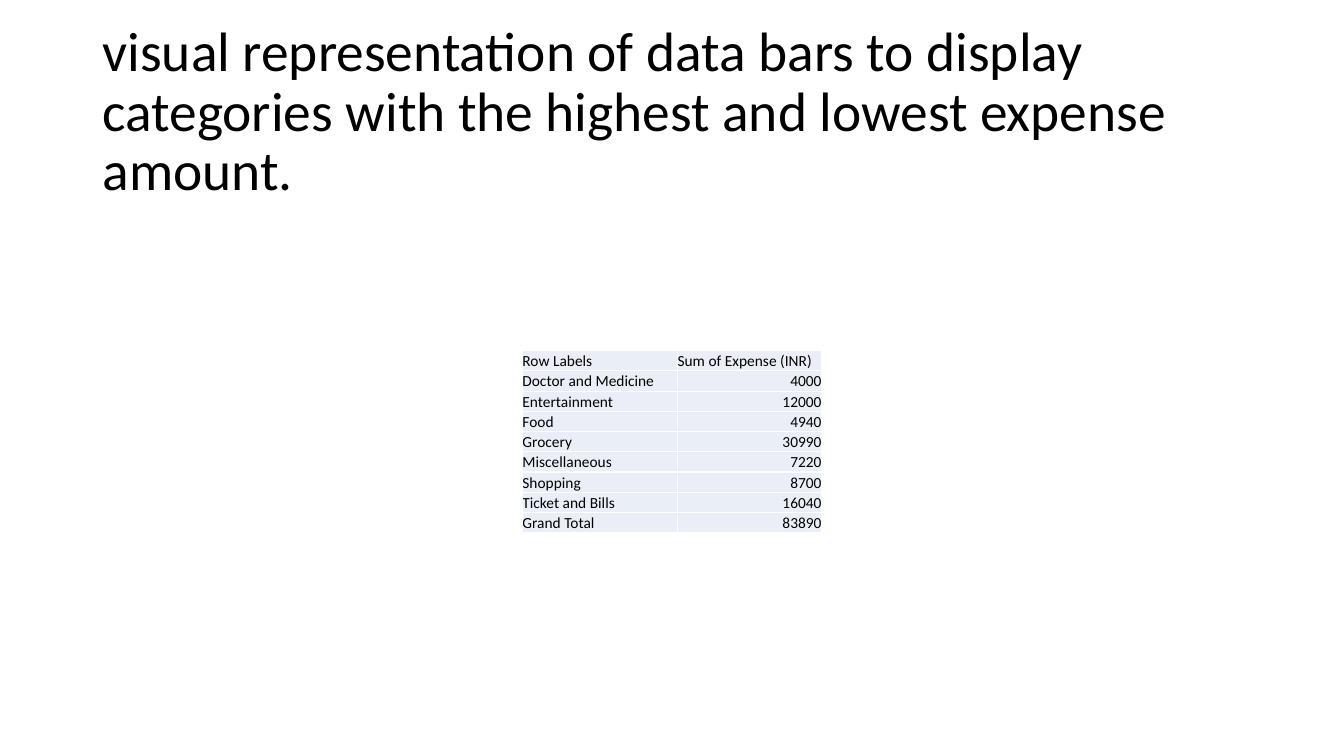
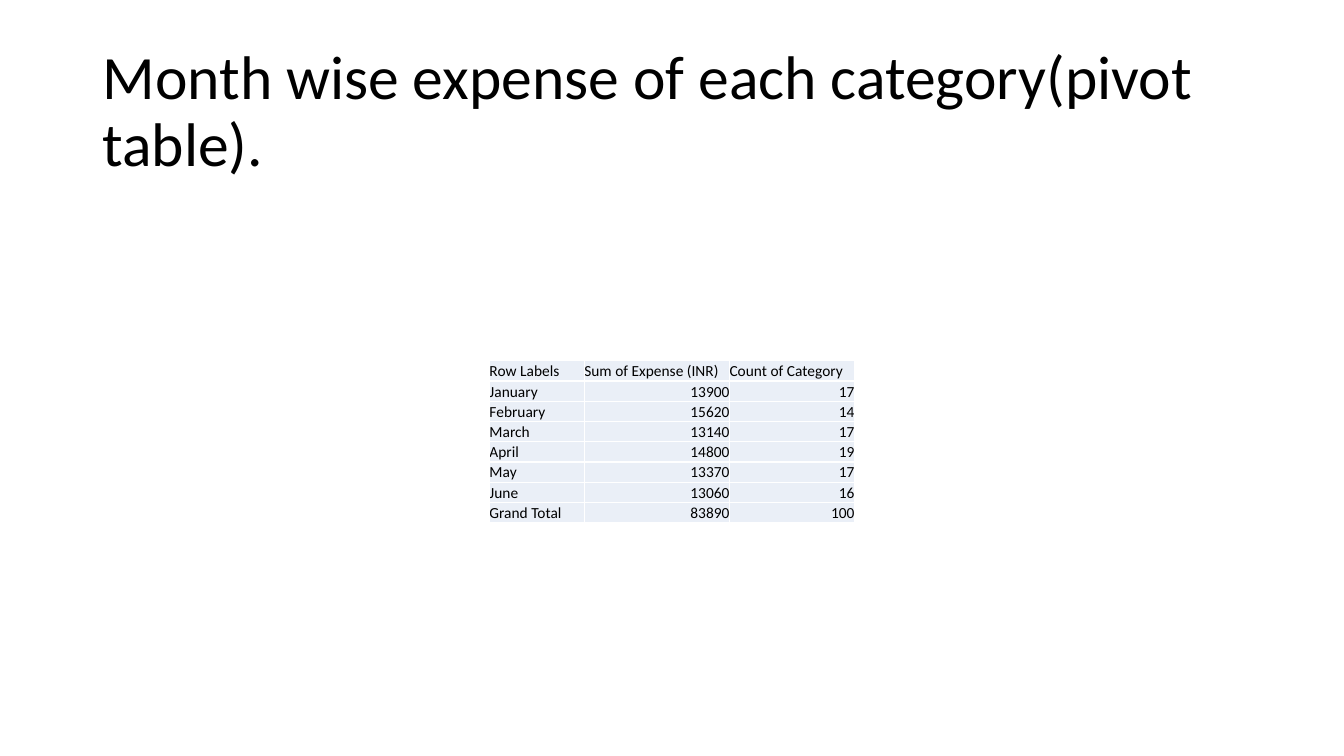
"""Build two expense slides, each with a title and a centred pivot table."""

from dataclasses import dataclass

from lxml.etree import SubElement
from pptx import Presentation
from pptx.dml.color import RGBColor
from pptx.enum.text import MSO_ANCHOR as Anchor, MSO_AUTO_SIZE as AutoSize, PP_ALIGN as Align
from pptx.oxml.ns import qn
from pptx.presentation import Presentation as Deck
from pptx.slide import Slide
from pptx.table import _Cell as Cell
from pptx.text.text import _Paragraph as Paragraph
from pptx.util import Cm, Pt

FONT = "Calibri"
TEXT_COLOUR = "000000"
CELL_COLOUR = "EAEFF7"
BORDER_COLOUR = "FFFFFF"
TITLE_ONLY_LAYOUT = 5

SLIDE_WIDTH, SLIDE_HEIGHT = Cm(33.87), Cm(19.05)
TITLE_WIDTH = Cm(29.21)
TITLE_MIDDLE = Cm(2.85)
TABLE_MIDDLE = Cm(11.13)
ROW_HEIGHT = Cm(0.51)


@dataclass(frozen=True)
class ExpenseSlide:
    """Content and measures of one slide, with lengths in centimetres."""

    title: str
    title_size: float
    title_height: float
    column_widths: tuple[float, ...]
    rows: tuple[tuple[str | int, ...], ...]


EXPENSE_SLIDES = (
    ExpenseSlide(
        title="visual representation of data bars to display categories "
        "with the highest and lowest expense amount.",
        title_size=39.6,
        title_height=4.93,
        column_widths=(3.91, 3.63),
        rows=(
            ("Row Labels", "Sum of Expense (INR)"),
            ("Doctor and Medicine", 4000),
            ("Entertainment", 12000),
            ("Food", 4940),
            ("Grocery", 30990),
            ("Miscellaneous", 7220),
            ("Shopping", 8700),
            ("Ticket and Bills", 16040),
            ("Grand Total", 83890),
        ),
    ),
    ExpenseSlide(
        title="Month wise expense of each category(pivot table).",
        title_size=44,
        title_height=3.68,
        column_widths=(2.39, 3.66, 3.15),
        rows=(
            ("Row Labels", "Sum of Expense (INR)", "Count of Category"),
            ("January", 13900, 17),
            ("February", 15620, 14),
            ("March", 13140, 17),
            ("April", 14800, 19),
            ("May", 13370, 17),
            ("June", 13060, 16),
            ("Grand Total", 83890, 100),
        ),
    ),
)


def colour(hex_code: str) -> RGBColor:
    """Return the colour for a hex string."""
    return RGBColor.from_string(hex_code)


def style_paragraph(paragraph: Paragraph, size: float, alignment: Align) -> None:
    """Apply the shared font to a paragraph."""
    paragraph.alignment = alignment
    paragraph.font.name = FONT
    paragraph.font.size = Pt(size)
    paragraph.font.bold = False
    paragraph.font.color.rgb = colour(TEXT_COLOUR)


def add_borders(cell: Cell) -> None:
    """Draw a thin line on every side of a cell."""
    properties = cell._tc.get_or_add_tcPr()
    for side in ("a:lnL", "a:lnR", "a:lnT", "a:lnB"):
        line = SubElement(properties, qn(side), w=str(Pt(1)))
        fill = SubElement(line, qn("a:solidFill"))
        SubElement(fill, qn("a:srgbClr"), val=BORDER_COLOUR)


def fill_cell(cell: Cell, value: str | int) -> None:
    """Write a value into a cell, with numbers set to the right."""
    cell.text = str(value)
    cell.margin_left = cell.margin_right = cell.margin_top = cell.margin_bottom = 0
    cell.vertical_anchor = Anchor.BOTTOM
    alignment = Align.RIGHT if isinstance(value, int) else Align.LEFT
    style_paragraph(cell.text_frame.paragraphs[0], 11, alignment)
    add_borders(cell)
    cell.fill.solid()
    cell.fill.fore_color.rgb = colour(CELL_COLOUR)


def set_title(slide: Slide, content: ExpenseSlide) -> None:
    """Place and format the title placeholder."""
    title = slide.shapes.title
    title.width, title.height = TITLE_WIDTH, Cm(content.title_height)
    title.left = (SLIDE_WIDTH - title.width) // 2
    title.top = TITLE_MIDDLE - title.height // 2
    frame = title.text_frame
    frame.text = content.title
    frame.word_wrap = True
    frame.auto_size = AutoSize.NONE
    frame.vertical_anchor = Anchor.MIDDLE
    paragraph = frame.paragraphs[0]
    paragraph.line_spacing = 0.9
    style_paragraph(paragraph, content.title_size, Align.LEFT)


def add_expense_table(slide: Slide, content: ExpenseSlide) -> None:
    """Add the table, centred across the slide."""
    widths = [Cm(width) for width in content.column_widths]
    row_count = len(content.rows)
    width, height = sum(widths), ROW_HEIGHT * row_count
    table = slide.shapes.add_table(
        row_count, len(widths),
        (SLIDE_WIDTH - width) // 2, TABLE_MIDDLE - height // 2, width, height,
    ).table
    table.first_row = table.horz_banding = False
    for column, column_width in zip(table.columns, widths):
        column.width = column_width
    for row, values in zip(table.rows, content.rows):
        row.height = ROW_HEIGHT
        for cell, value in zip(row.cells, values):
            fill_cell(cell, value)


def add_expense_slide(presentation: Deck, content: ExpenseSlide) -> None:
    """Add one slide with its title and table."""
    slide = presentation.slides.add_slide(presentation.slide_layouts[TITLE_ONLY_LAYOUT])
    set_title(slide, content)
    add_expense_table(slide, content)


def main() -> None:
    """Build and save the presentation."""
    presentation = Presentation()
    presentation.slide_width, presentation.slide_height = SLIDE_WIDTH, SLIDE_HEIGHT
    for content in EXPENSE_SLIDES:
        add_expense_slide(presentation, content)
    presentation.save("out.pptx")


if __name__ == "__main__":
    main()
